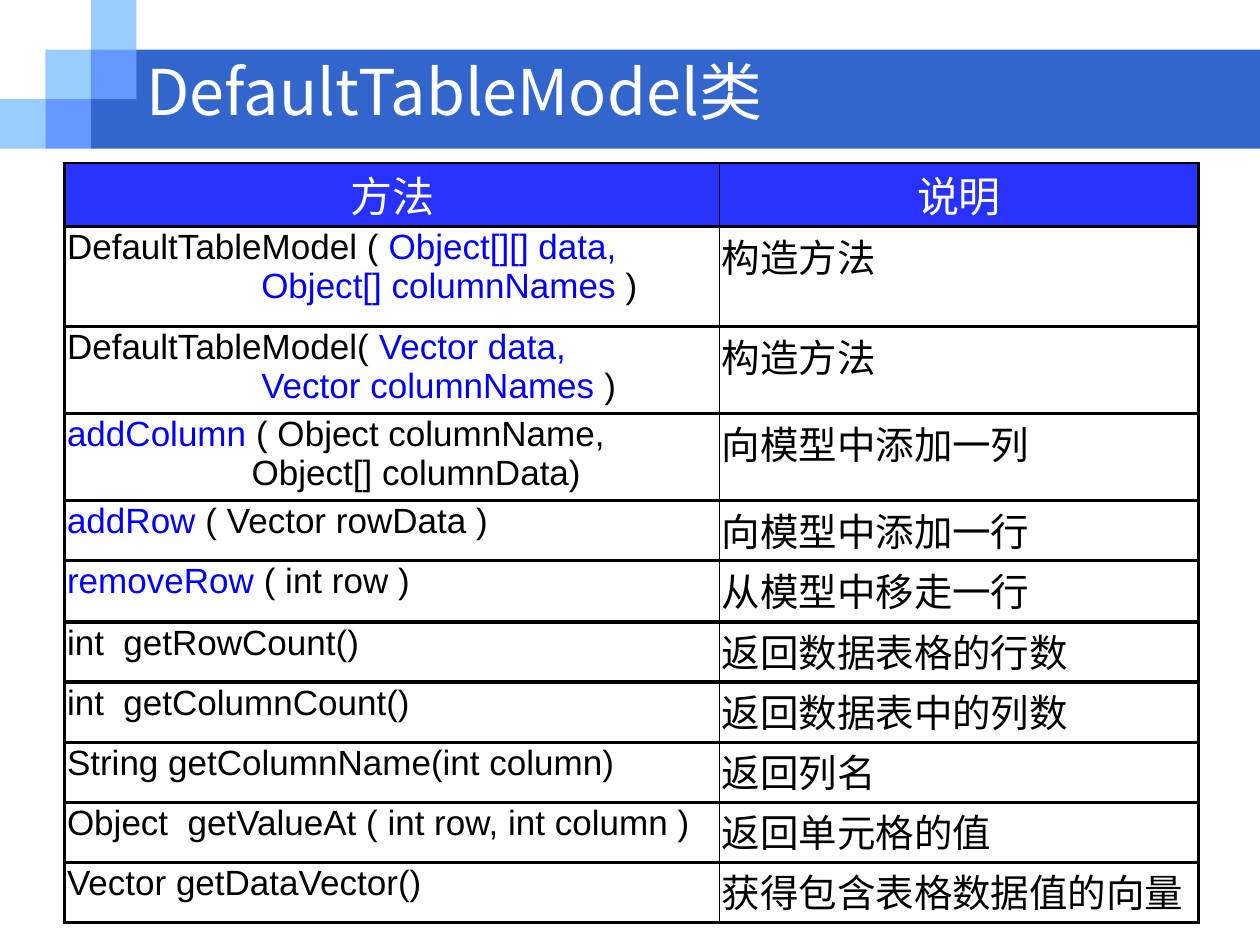
from dataclasses import dataclass

import pptx
import pptx.dml.color
import pptx.enum.shapes
import pptx.enum.text
import pptx.oxml
import pptx.oxml.ns
import pptx.util
from pptx.util import Pt


@dataclass(frozen=True)
class Theme:
    band: str = "3366CC"
    light_square: str = "99CCFF"
    deep_square: str = "6699FF"
    header: str = "2832FF"
    accent: str = "0000FF"
    ink: str = "000000"
    paper: str = "FFFFFF"
    latin: str = "Arial"
    chinese: str = "Noto Sans CJK SC"
    title_size: float = 36
    header_size: float = 24
    method_size: float = 20
    note_size: float = 22
    thick: float = 2.25
    thin: float = 1


THEME = Theme()

# Each method: (text, highlighted) spans, hanging indent, description, row height.
METHODS = [
    ([("DefaultTableModel ( ", False), ("Object[][] data,\nObject[] columnNames ", True),
      (")", False)], 111, "构造方法", 57),
    ([("DefaultTableModel( ", False), ("Vector data,\nVector columnNames ", True),
      (")", False)], 111, "构造方法", 49.7),
    ([("addColumn", True), (" ( Object columnName,\nObject[] columnData)", False)],
     105.5, "向模型中添加一列", 49.7),
    ([("addRow ", True), ("( Vector rowData )", False)], 0, "向模型中添加一行", 34.3),
    ([("removeRow", True), (" ( int row )", False)], 0, "从模型中移走一行", 35.3),
    ([("int  getRowCount()", False)], 0, "返回数据表格的行数", 34.3),
    ([("int  getColumnCount()", False)], 0, "返回数据表中的列数", 34.3),
    ([("String getColumnName(int column)", False)], 0, "返回列名", 34.3),
    ([("Object  getValueAt ( int row, int column )", False)], 0, "返回单元格的值", 34.3),
    ([("Vector getDataVector()", False)], 0, "获得包含表格数据值的向量", 34.3),
]


def rgb(value):
    return pptx.dml.color.RGBColor.from_string(value)


def add_span(para, text, size, color, latin=THEME.latin):
    span = para.add_run()
    span.text = text
    span.font.size = Pt(size)
    span.font.name = latin
    span.font.color.rgb = rgb(color)
    east_asian = span.font._element.makeelement(
        pptx.oxml.ns.qn("a:ea"), {"typeface": THEME.chinese})
    span.font._element.append(east_asian)


def add_block(page, left, top, width, height, color):
    block = page.shapes.add_shape(
        pptx.enum.shapes.MSO_SHAPE.RECTANGLE, Pt(left), Pt(top), Pt(width), Pt(height))
    block.shadow.inherit = False
    block.fill.solid()
    block.fill.fore_color.rgb = rgb(color)
    block.line.fill.background()


def add_banner(page, left, top, width, height):
    """Draw the title band with a staircase of squares at its left end."""
    step_x, step_y = 26, height / 3
    add_block(page, left + 2 * step_x, top + step_y, width - 2 * step_x, 2 * step_y,
              THEME.band)
    squares = [(0, 2, THEME.light_square), (1, 1, THEME.light_square),
               (2, 0, THEME.light_square), (2, 1, THEME.deep_square),
               (1, 2, THEME.deep_square)]
    for column, row, color in squares:
        add_block(page, left + column * step_x, top + row * step_y, step_x, step_y, color)


def add_title(page, left, top, width, height, text):
    box = page.shapes.add_textbox(Pt(left), Pt(top), Pt(width), Pt(height))
    box.text_frame.word_wrap = True
    box.text_frame.vertical_anchor = pptx.enum.text.MSO_ANCHOR.MIDDLE
    add_span(box.text_frame.paragraphs[0], text, THEME.title_size, THEME.paper,
             THEME.chinese)


def set_borders(cell, widths):
    """Set the left, right, top and bottom line widths; call before filling the cell."""
    properties = cell._tc.get_or_add_tcPr()
    for side, width in zip("LRTB", widths):
        properties.append(pptx.oxml.parse_xml(
            f'<a:ln{side} {pptx.oxml.ns.nsdecls("a")} w="{int(Pt(width))}">'
            f'<a:solidFill><a:srgbClr val="{THEME.ink}"/></a:solidFill></a:ln{side}>'))


def style_cell(cell, row, column):
    cell.margin_left = cell.margin_right = Pt(1.4)
    cell.margin_top = cell.margin_bottom = Pt(0.7)
    set_borders(cell, (THEME.thin if column else THEME.thick,
                       THEME.thick if column else THEME.thin,
                       THEME.thick if row else THEME.thin,
                       THEME.thick))
    cell.fill.solid()
    cell.fill.fore_color.rgb = rgb(THEME.paper if row else THEME.header)


def write_method(para, spans, hang):
    if hang:
        properties = para._p.get_or_add_pPr()
        properties.set("marL", str(int(Pt(hang))))
        properties.set("indent", str(-int(Pt(hang))))
    for text, highlighted in spans:
        for index, line in enumerate(text.split("\n")):
            if index:
                para.add_line_break()
            add_span(para, line, THEME.method_size,
                     THEME.accent if highlighted else THEME.ink)


def add_method_table(page, left, top, width):
    header_height = 36.5
    height = header_height + sum(method[-1] for method in METHODS)
    table = page.shapes.add_table(
        len(METHODS) + 1, 2, Pt(left), Pt(top), Pt(width), Pt(height)).table
    table.first_row = table.horz_banding = False
    method_width = 374.25
    table.columns[0].width = Pt(method_width)
    table.columns[1].width = Pt(width - method_width)

    table.rows[0].height = Pt(header_height)
    for column, heading in enumerate(("方法", "说明")):
        cell = table.cell(0, column)
        style_cell(cell, 0, column)
        para = cell.text_frame.paragraphs[0]
        para.alignment = pptx.enum.text.PP_ALIGN.CENTER
        add_span(para, heading, THEME.header_size, THEME.paper)

    for row, (spans, hang, note, row_height) in enumerate(METHODS, start=1):
        table.rows[row].height = Pt(row_height)
        method_cell, note_cell = table.cell(row, 0), table.cell(row, 1)
        style_cell(method_cell, row, 0)
        style_cell(note_cell, row, 1)
        write_method(method_cell.text_frame.paragraphs[0], spans, hang)
        add_span(note_cell.text_frame.paragraphs[0], note, THEME.note_size, THEME.ink)


def main():
    deck = pptx.Presentation()
    deck.slide_width, deck.slide_height = Pt(720), Pt(540)
    page = deck.slides.add_slide(deck.slide_layouts[6])
    add_banner(page, 0, 0, 720, 85)
    add_title(page, 76.6, 26.9, 592.6, 49, "DefaultTableModel类")
    add_method_table(page, 36.9, 93.1, 648)
    deck.save("out.pptx")


if __name__ == "__main__":
    main()
